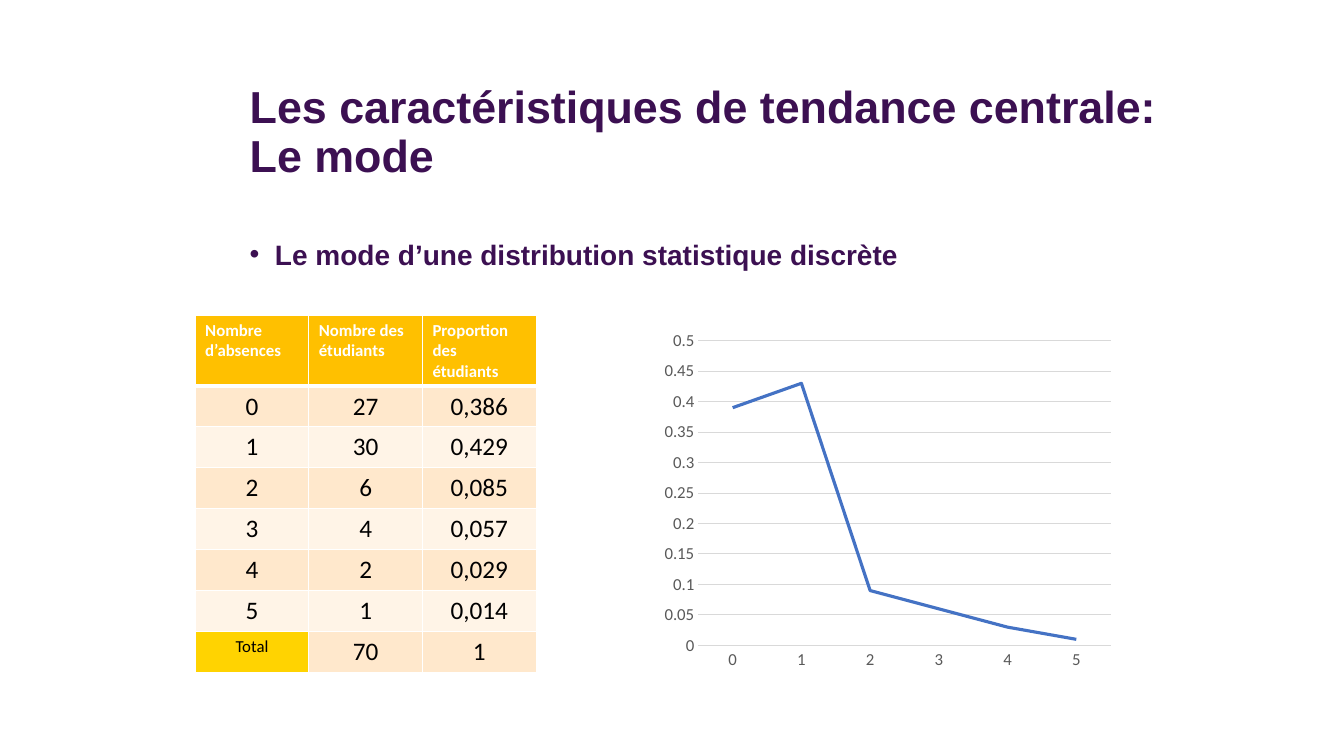
from lxml import etree
from pptx import Presentation
from pptx.chart.data import CategoryChartData
from pptx.dml.color import RGBColor
from pptx.enum import chart as ch, text as tx
from pptx.oxml import ns
from pptx.util import Pt

TITLE = "Les caractéristiques de tendance centrale:\nLe mode"
SUBTITLE = "Le mode d’une distribution statistique discrète"
HEADERS = ("Nombre d’absences", "Nombre des étudiants", "Proportion des étudiants")
ABSENCES = [
    ("0", "27", "0,386"),
    ("1", "30", "0,429"),
    ("2", "6", "0,085"),
    ("3", "4", "0,057"),
    ("4", "2", "0,029"),
    ("5", "1", "0,014"),
]
TOTAL = ("Total", "70", "1")
PROPORTIONS = (0.39, 0.43, 0.09, 0.06, 0.03, 0.01)

PURPLE, WHITE, BLACK, GREY, GRID = "3C1052", "FFFFFF", "000000", "595959", "D9D9D9"
AMBER, YELLOW, BLUE = "FFC000", "FFD301", "4472C4"
BANDS = ("FFE8CC", "FFF4E7")
COLUMN_WIDTH, HEADER_HEIGHT, ROW_HEIGHT = 81.2, 50.4, 29.2


def rgb(hex_color):
    return RGBColor.from_string(hex_color)


def style(font, name, size, color, bold=False):
    font.name, font.size, font.bold = name, Pt(size), bold
    font.color.rgb = rgb(color)


def add_heading(slide, box, wording, size, anchor):
    frame = slide.shapes.add_textbox(*map(Pt, box)).text_frame
    frame.word_wrap = True
    frame.vertical_anchor = anchor
    paragraph = frame.paragraphs[0]
    paragraph.text = wording
    paragraph.line_spacing = 0.9
    style(paragraph.font, "Arial", size, PURPLE, True)
    return paragraph


def add_bullet(paragraph, indent):
    properties = paragraph._p.get_or_add_pPr()
    properties.set("marL", str(Pt(indent)))
    properties.set("indent", str(-Pt(indent)))
    font = etree.SubElement(properties, ns.qn("a:buFont"))
    font.set("typeface", "Arial")
    etree.SubElement(properties, ns.qn("a:buChar")).set("char", "•")


def add_borders(cell, top, bottom):
    properties = cell._tc.get_or_add_tcPr()
    for side, width in (("L", 1), ("R", 1), ("T", top), ("B", bottom)):
        line = etree.SubElement(properties, ns.qn(f"a:ln{side}"), w=str(Pt(width)))
        fill = etree.SubElement(line, ns.qn("a:solidFill"))
        etree.SubElement(fill, ns.qn("a:srgbClr"), val=WHITE)


def add_absence_table(slide):
    rows = [HEADERS, *ABSENCES, TOTAL]
    width = COLUMN_WIDTH * len(HEADERS)
    height = HEADER_HEIGHT + ROW_HEIGHT * (len(rows) - 1)
    table = slide.shapes.add_table(
        len(rows), len(HEADERS), Pt(139.4), Pt(225.3), Pt(width), Pt(height)
    ).table
    for column in table.columns:
        column.width = Pt(COLUMN_WIDTH)
    for r, values in enumerate(rows):
        header = r == 0
        table.rows[r].height = Pt(HEADER_HEIGHT if header else ROW_HEIGHT)
        for c, value in enumerate(values):
            cell = table.cell(r, c)
            total_label = value == TOTAL[0]
            add_borders(cell, 3 if r == 1 else 1, 3 if header else 1)
            band = BANDS[(r - 1) % 2]
            cell.fill.solid()
            cell.fill.fore_color.rgb = rgb(
                AMBER if header else YELLOW if total_label else band
            )
            paragraph = cell.text_frame.paragraphs[0]
            paragraph.text = value
            if not header:
                paragraph.alignment = tx.PP_ALIGN.CENTER
            size = 12 if header or total_label else 18
            style(paragraph.font, "Calibri", size, WHITE if header else BLACK, header)


def add_proportion_chart(slide):
    data = CategoryChartData()
    data.categories = [row[0] for row in ABSENCES]
    data.add_series("Series 1", PROPORTIONS)
    chart = slide.shapes.add_chart(
        ch.XL_CHART_TYPE.LINE, Pt(468), Pt(231.2), Pt(332), Pt(252), data
    ).chart
    chart.has_title = chart.has_legend = False
    style(chart.font, "Calibri", 10, BLACK)
    chart.plots[0].vary_by_categories = False

    proportions = chart.plots[0].series[0]
    proportions.smooth = False
    proportions.marker.style = ch.XL_MARKER_STYLE.NONE
    proportions.format.line.color.rgb = rgb(BLUE)
    proportions.format.line.width = Pt(2.25)

    absences, scale = chart.category_axis, chart.value_axis
    for axis in (absences, scale):
        axis.major_tick_mark = axis.minor_tick_mark = ch.XL_TICK_MARK.NONE
        style(axis.tick_labels.font, "Calibri", 12, GREY)
    scale.minimum_scale, scale.maximum_scale, scale.major_unit = 0, 0.5, 0.05
    scale.has_major_gridlines = True
    scale.format.line.fill.background()
    for line in (absences.format.line, scale.major_gridlines.format.line):
        line.color.rgb = rgb(GRID)
        line.width = Pt(0.75)


def main():
    deck = Presentation()
    deck.slide_width, deck.slide_height = Pt(960), Pt(540)
    slide = deck.slides.add_slide(deck.slide_layouts[6])
    add_heading(slide, (171.3, 43, 710, 104.5), TITLE, 32, tx.MSO_ANCHOR.MIDDLE)
    subtitle = add_heading(
        slide, (171.3, 168.5, 710, 342.5), SUBTITLE, 20, tx.MSO_ANCHOR.TOP
    )
    subtitle.space_before = Pt(10)
    add_bullet(subtitle, 18)
    add_absence_table(slide)
    add_proportion_chart(slide)
    deck.save("out.pptx")


if __name__ == "__main__":
    main()
